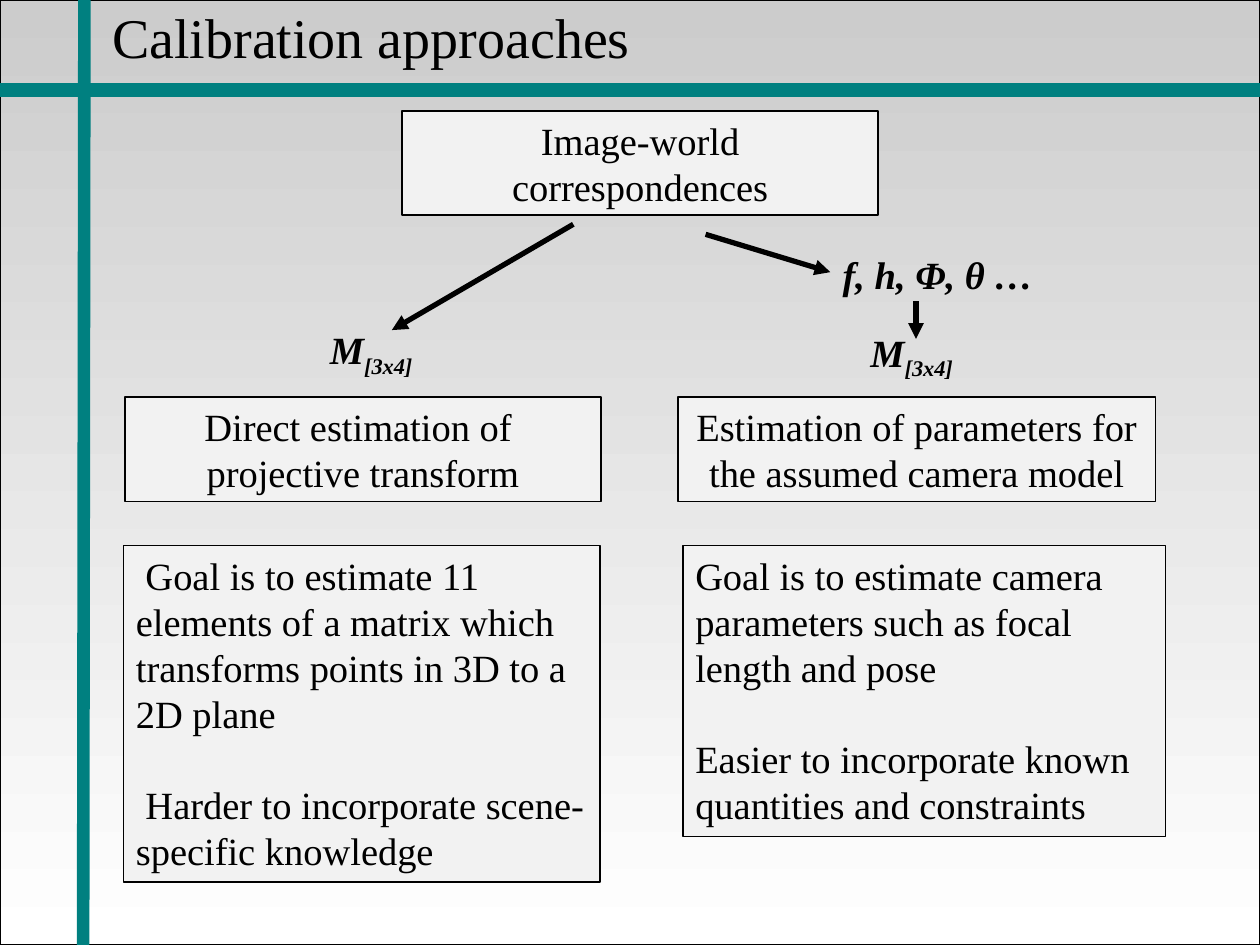
from dataclasses import dataclass

from lxml import etree
from pptx import Presentation
from pptx.dml.color import RGBColor
from pptx.enum.shapes import MSO_CONNECTOR, MSO_SHAPE
from pptx.enum.text import MSO_ANCHOR, MSO_AUTO_SIZE, PP_ALIGN
from pptx.oxml.ns import qn
from pptx.util import Inches, Pt

STRAIGHT = MSO_CONNECTOR.STRAIGHT
RECTANGLE = MSO_SHAPE.RECTANGLE
TOP = MSO_ANCHOR.TOP
GROW = MSO_AUTO_SIZE.SHAPE_TO_FIT_TEXT
LEFT, CENTER = PP_ALIGN.LEFT, PP_ALIGN.CENTER

COLUMNS, ROWS = 100, 75
CELL = Inches(0.1)
BLACK, TEAL, PANEL = "000000", "008080", "F2F2F2"
FONT = "Times New Roman"
BODY_SIZE = 22
BLANK_LINE = 25.3


@dataclass(frozen=True)
class Area:
    column: float
    row: float
    columns: float
    rows: float

    def lengths(self) -> list[int]:
        return [grid(value) for value in (self.column, self.row, self.columns, self.rows)]


@dataclass(frozen=True)
class Panel:
    area: Area
    paragraphs: tuple[str, ...]
    alignment: int = CENTER
    gap: float = 0


@dataclass(frozen=True)
class Label:
    area: Area
    text: str
    subscript: str = ""


@dataclass(frozen=True)
class Line:
    start: tuple[float, float]
    end: tuple[float, float]
    color: str = BLACK
    width: float = 3
    arrow: bool = True


BARS = (
    Line((0, 7.2), (COLUMNS, 7.2), TEAL, 7.2, False),
    Line((6.6, ROWS), (6.7, 0), TEAL, 7.2, False),
    Line((0, 7.1), (COLUMNS, 7.1), TEAL, 7.2, False),
)
PANELS = (
    Panel(Area(53.8, 31.5, 37.9, 8.3), ("Estimation of parameters for the assumed camera model",)),
    Panel(Area(9.9, 31.5, 37.8, 8.3), ("Direct estimation of ", "projective transform")),
    Panel(
        Area(9.8, 43.3, 37.8, 26.7),
        (
            " Goal is to estimate 11 elements of a matrix which transforms points in 3D to a 2D plane",
            " Harder to incorporate scene-specific knowledge",
        ),
        LEFT,
        BLANK_LINE,
    ),
    Panel(
        Area(54.2, 43.3, 38.3, 23.1),
        (
            "Goal is to estimate camera parameters such as focal length and pose",
            "Easier to incorporate known quantities and constraints",
        ),
        LEFT,
        BLANK_LINE,
    ),
    Panel(Area(31.9, 8.8, 37.8, 8.3), ("Image-world correspondences",)),
)
LABELS = (
    Label(Area(25.2, 25.4, 8.9, 4.5), "M", "[3x4]"),
    Label(Area(68.1, 25.6, 8.9, 4.5), "M", "[3x4]"),
    Label(Area(65.9, 19.4, 17.6, 4.5), "f, h, Φ, θ …"),
)
ARROWS = (
    Line((45.5, 17.8), (31.1, 26.2)),
    Line((56, 18.6), (65.9, 21.6)),
    Line((72.7, 23.9), (72.7, 26.9)),
)


def grid(cells: float) -> int:
    return round(cells * CELL)


def rgb(color: str) -> RGBColor:
    return RGBColor.from_string(color)


def add_run(paragraph, text: str, *, size: float = BODY_SIZE, emphasis: bool = False, baseline: int = 0) -> None:
    run = paragraph.add_run()
    run.text = text
    run.font.name = FONT
    run.font.size = Pt(size)
    run.font.bold = run.font.italic = emphasis
    run.font.color.rgb = rgb(BLACK)
    if baseline:
        run._r.get_or_add_rPr().set("baseline", str(baseline * 1000))


def prepare_frame(shape, *, wrap: bool = True, inset: tuple[float, float] = (0.1, 0.05)):
    frame = shape.text_frame
    frame.word_wrap = wrap
    frame.auto_size = GROW
    frame.vertical_anchor = TOP
    frame.margin_left = frame.margin_right = Inches(inset[0])
    frame.margin_top = frame.margin_bottom = Inches(inset[1])
    return frame


def add_rectangle(slide, area: Area, line_width: float):
    shape = slide.shapes.add_shape(RECTANGLE, *area.lengths())
    shape.shadow.inherit = False
    shape.line.color.rgb = rgb(BLACK)
    shape.line.width = Pt(line_width)
    return shape


def add_backdrop(slide) -> None:
    shape = add_rectangle(slide, Area(0, 0, COLUMNS, ROWS), 0.75)
    shape.fill.gradient()
    shape.fill.gradient_angle = 270
    for stop, position, color in zip(shape.fill.gradient_stops, (0, 1), ("CCCCCC", "FFFFFF")):
        stop.position = position
        stop.color.rgb = rgb(color)


def add_title(slide, text: str) -> None:
    box = slide.shapes.add_textbox(*Area(8.9, 0.6, 71.1, 5.1).lengths())
    paragraph = prepare_frame(box, inset=(0, 0)).paragraphs[0]
    paragraph.line_spacing = 0.95
    add_run(paragraph, text, size=32)


def add_panel(slide, panel: Panel) -> None:
    shape = add_rectangle(slide, panel.area, 1)
    shape.fill.solid()
    shape.fill.fore_color.rgb = rgb(PANEL)
    frame = prepare_frame(shape)
    for index, text in enumerate(panel.paragraphs):
        paragraph = frame.add_paragraph() if index else frame.paragraphs[0]
        paragraph.alignment = panel.alignment
        if index:
            paragraph.space_before = Pt(panel.gap)
        add_run(paragraph, text)


def add_label(slide, label: Label) -> None:
    box = slide.shapes.add_textbox(*label.area.lengths())
    paragraph = prepare_frame(box, wrap=False).paragraphs[0]
    add_run(paragraph, label.text, emphasis=True)
    if label.subscript:
        add_run(paragraph, label.subscript, emphasis=True, baseline=-25)


def add_line(slide, line: Line) -> None:
    ends = [grid(value) for value in line.start + line.end]
    connector = slide.shapes.add_connector(STRAIGHT, *ends)
    connector.line.color.rgb = rgb(line.color)
    connector.line.width = Pt(line.width)
    if line.arrow:
        etree.SubElement(connector.line._get_or_add_ln(), qn("a:tailEnd"), type="triangle")
    etree.SubElement(connector._element.spPr, qn("a:effectLst"))


def main() -> None:
    presentation = Presentation()
    presentation.slide_width = grid(COLUMNS)
    presentation.slide_height = grid(ROWS)
    slide = presentation.slides.add_slide(presentation.slide_layouts[6])
    add_backdrop(slide)
    for bar in BARS:
        add_line(slide, bar)
    add_title(slide, "Calibration approaches")
    for panel in PANELS:
        add_panel(slide, panel)
    for label in LABELS:
        add_label(slide, label)
    for arrow in ARROWS:
        add_line(slide, arrow)
    presentation.save("out.pptx")


if __name__ == "__main__":
    main()
